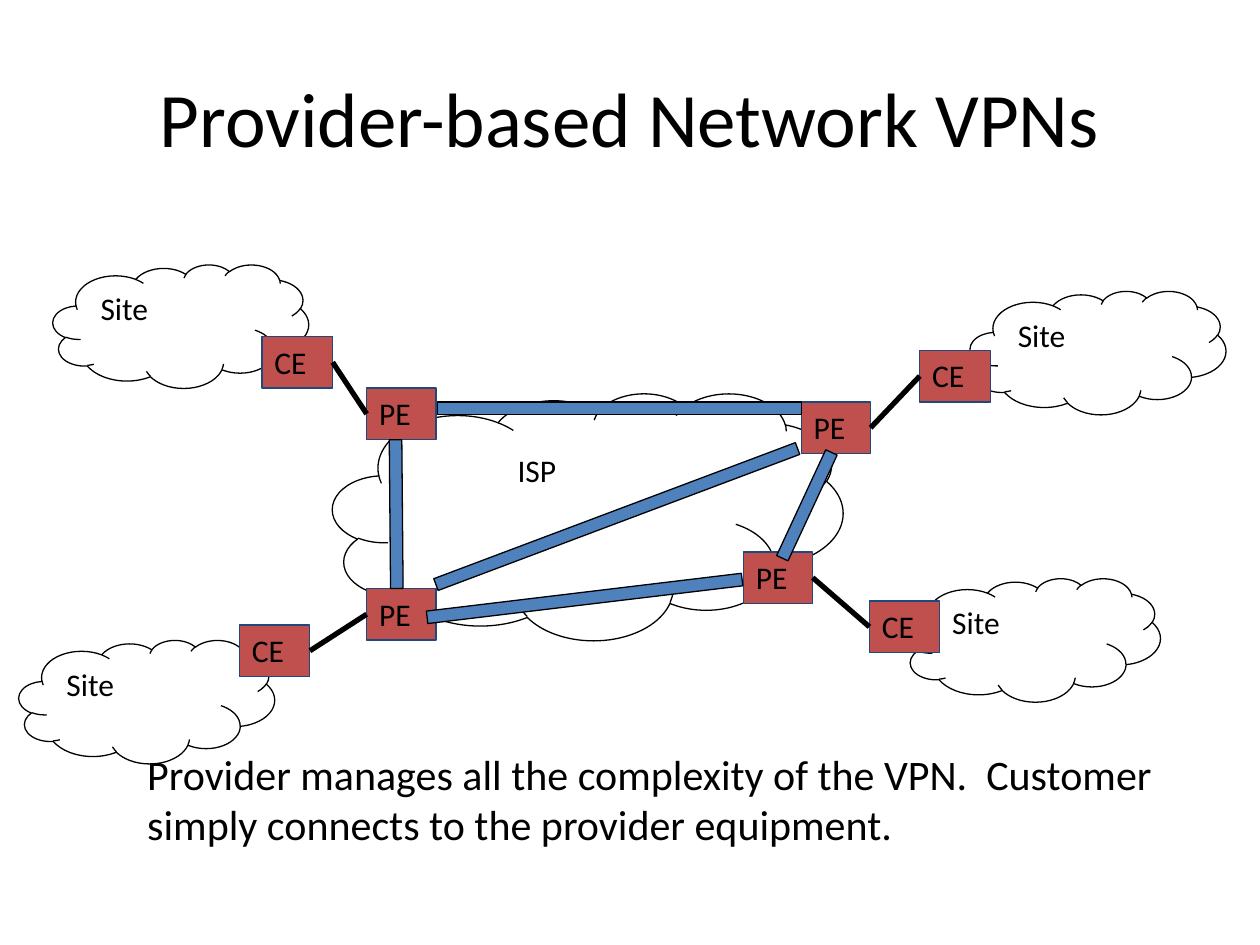
import math
from dataclasses import dataclass

from lxml import etree
from pptx import Presentation
from pptx import util as u
from pptx.dml.color import RGBColor
from pptx.enum import shapes, text
from pptx.oxml.ns import qn


@dataclass(frozen=True)
class Theme:
    font: str = "Calibri"
    ink: str = "000000"
    router: str = "C0504D"
    router_edge: str = "1F497D"
    tunnel: str = "4F81BD"
    title: int = 44
    caption: int = 24
    label: int = 18
    thin: float = 0.75
    thick: float = 3


THEME = Theme()
SITE_SIZE = (2.03, 0.98)
PE_SIZE = (0.55, 0.41)
CE_SIZE = (0.56, 0.41)
TUNNEL_WIDTH = 0.1

# Provider edge routers, by corner
PROVIDER_EDGES = {
    "top right": (6.36, 3.19),
    "top left": (2.91, 3.08),
    "bottom left": (2.91, 4.67),
    "bottom right": (5.9, 4.38),
}
# Customer sites, by the corner they attach to: cloud, customer edge router
SITES = {
    "top right": ((7.7, 2.31), (7.3, 2.78)),
    "top left": ((0.42, 2.1), (2.08, 2.67)),
    "bottom right": ((7.18, 4.59), (6.9, 4.77)),
    "bottom left": ((0.15, 5.08), (1.9, 4.96)),
}
# Centre lines of the tunnels between provider edges
TUNNELS = [
    ((3.39, 4.9), (5.89, 4.6)),
    ((3.47, 3.24), (6.36, 3.24)),
    ((6.21, 4.43), (6.6, 3.59)),
    ((3.15, 4.67), (3.14, 3.49)),
    ((3.46, 4.64), (6.33, 3.56)),
]


def inches(*lengths):
    return [u.Inches(length) for length in lengths]


def write(box, words, points=THEME.label, align=text.PP_ALIGN.LEFT,
          anchor=text.MSO_ANCHOR.TOP, wrap=True, grow=False):
    frame = box.text_frame
    frame.word_wrap = wrap
    frame.vertical_anchor = anchor
    fit = text.MSO_AUTO_SIZE
    frame.auto_size = fit.SHAPE_TO_FIT_TEXT if grow else fit.NONE
    para = frame.paragraphs[0]
    para.alignment = align
    span = para.add_run()
    span.text = words
    span.font.name = THEME.font
    span.font.size = u.Pt(points)
    span.font.color.rgb = RGBColor.from_string(THEME.ink)


def add_words(page, place, size, words, **style):
    box = page.shapes.add_textbox(*inches(*place, *size))
    write(box, words, **style)


def add_figure(page, kind, place, size, fill=None, edge=THEME.ink):
    figure = page.shapes.add_shape(kind, *inches(*place, *size))
    figure.shadow.inherit = False
    if fill:
        figure.fill.solid()
        figure.fill.fore_color.rgb = RGBColor.from_string(fill)
    else:
        figure.fill.background()
    figure.line.color.rgb = RGBColor.from_string(edge)
    figure.line.width = u.Pt(THEME.thin)
    return figure


def add_cloud(page, place, size, words=None):
    cloud = add_figure(page, shapes.MSO_SHAPE.CLOUD, place, size)
    if words:
        write(cloud, words)


def add_router(page, place, size, words):
    router = add_figure(page, shapes.MSO_SHAPE.RECTANGLE, place, size,
                        THEME.router, THEME.router_edge)
    write(router, words, wrap=False, grow=True)


def add_tunnel(page, start, end):
    length = math.dist(start, end)
    middle_x, middle_y = ((a + b) / 2 for a, b in zip(start, end))
    place = (middle_x - length / 2, middle_y - TUNNEL_WIDTH / 2)
    tunnel = add_figure(page, shapes.MSO_SHAPE.RECTANGLE, place,
                        (length, TUNNEL_WIDTH), THEME.tunnel)
    tunnel.rotation = math.degrees(
        math.atan2(end[1] - start[1], end[0] - start[0]))


def add_link(page, *routers):
    """Join the facing sides of two (place, size) routers at mid height."""
    (left, left_size), (right, right_size) = sorted(routers)
    start = (left[0] + left_size[0], left[1] + left_size[1] / 2)
    end = (right[0], right[1] + right_size[1] / 2)
    link = page.shapes.add_connector(
        shapes.MSO_CONNECTOR.STRAIGHT, *inches(*start, *end))
    link.line.color.rgb = RGBColor.from_string(THEME.ink)
    link.line.width = u.Pt(THEME.thick)
    etree.SubElement(link._element.spPr, qn("a:effectLst"))


def main():
    deck = Presentation()
    deck.slide_width, deck.slide_height = inches(10, 7.5)
    page = deck.slides.add_slide(deck.slide_layouts[6])

    # Title
    add_words(page, (0.5, 0.3), (9, 1.25), "Provider-based Network VPNs",
              points=THEME.title, align=text.PP_ALIGN.CENTER,
              anchor=text.MSO_ANCHOR.MIDDLE)

    # Clouds
    add_cloud(page, (2.64, 3.12), (4.05, 1.96))
    for cloud, _ in SITES.values():
        add_cloud(page, cloud, SITE_SIZE, "Site")

    # Provider network
    for place in PROVIDER_EDGES.values():
        add_router(page, place, PE_SIZE, "PE")
    add_words(page, (4.01, 3.53), (0.6, 0.4), "ISP", wrap=False, grow=True)
    for start, end in TUNNELS:
        add_tunnel(page, start, end)

    # Caption
    add_words(page, (1.07, 5.89), (8.27, 0.9),
              "Provider manages all the complexity of the VPN.  Customer "
              "simply connects to the provider equipment.",
              points=THEME.caption, grow=True)

    # Customer routers and their links to the provider
    for corner, (_, place) in SITES.items():
        add_router(page, place, CE_SIZE, "CE")
        add_link(page, (place, CE_SIZE), (PROVIDER_EDGES[corner], PE_SIZE))

    deck.save("out.pptx")


main()
